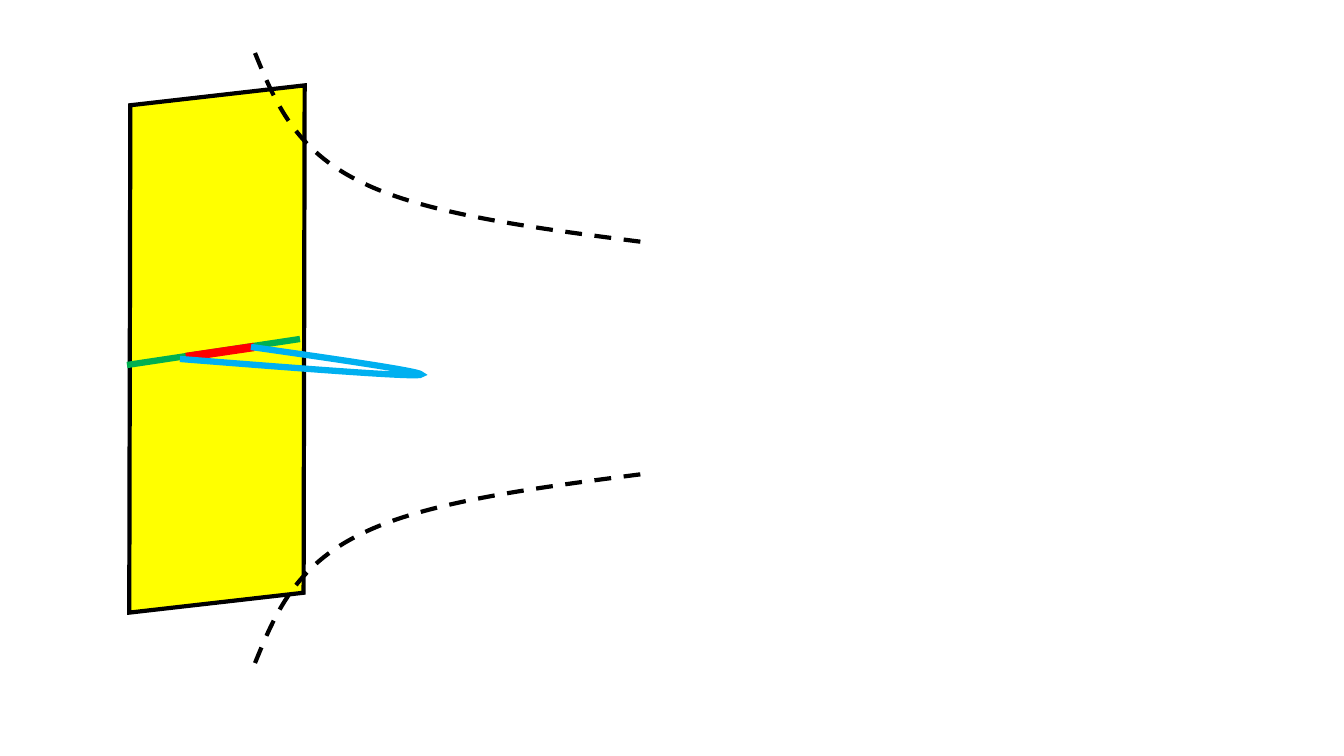
from lxml import etree
from pptx import Presentation
from pptx.dml.color import RGBColor
from pptx.enum.dml import MSO_LINE
from pptx.enum.shapes import MSO_CONNECTOR, MSO_SHAPE
from pptx.oxml.ns import qn
from pptx.util import Pt

PX = 12192000 / 1344
DASH = MSO_LINE.DASH
STRAIGHT = MSO_CONNECTOR.STRAIGHT
PARALLELOGRAM = MSO_SHAPE.PARALLELOGRAM


def px(length):
    return round(length * PX)


def outline(shape, color, points, dash=None):
    """Give a shape a mitred line and no shadow."""
    shape.line.color.rgb = RGBColor.from_string(color)
    shape.line.width = Pt(points)
    if dash is not None:
        shape.line.dash_style = dash
    properties = shape._element.spPr
    miter = etree.SubElement(properties.find(qn("a:ln")), qn("a:miter"))
    miter.set("lim", "800000")
    etree.SubElement(properties, qn("a:effectLst"))


prs = Presentation()
prs.slide_width, prs.slide_height = px(1344), px(756)
shapes = prs.slides.add_slide(prs.slide_layouts[6]).shapes

# Tilted yellow plane
plane = shapes.add_shape(PARALLELOGRAM, px(100), px(97), px(234), px(504))
plane.rotation = -6.5
plane.fill.solid()
plane.fill.fore_color.rgb = RGBColor.from_string("FFFF00")
outline(plane, "000000", 3)

# Straight segments across the plane
for x1, y1, x2, y2, color, points in [
    (127, 365, 300, 339, "00B050", 4.5),
    (186, 357, 254, 347, "FF0000", 6),
]:
    segment = shapes.add_connector(STRAIGHT, px(x1), px(y1), px(x2), px(y2))
    outline(segment, color, points)

# Curves: a start point, then two handles and an end point per Bézier piece
upper_branch = [(255, 53), (275, 102), (295, 150), (361, 182),
                (425, 214), (534, 228), (643, 242)]
lower_branch = [(x, 716 - y) for x, y in upper_branch]
loop = [(180, 359), (294, 368), (409, 377), (420, 375),
        (432, 373), (342, 360), (251, 347)]

for nodes, width, color, points, dash in [
    (upper_branch, 388, "000000", 3, DASH),
    (lower_branch, 388, "000000", 3, DASH),
    (loop, 242, "00B0F0", 4.5, None),
]:
    builder = shapes.build_freeform(*nodes[0], scale=PX)
    builder.add_line_segments(nodes[1:], close=False)
    curve = builder.convert_to_shape()
    route = next(curve._element.iter(qn("a:path")))
    steps = route.findall(qn("a:lnTo"))
    for first in range(0, len(steps), 3):
        bezier = etree.SubElement(route, qn("a:cubicBezTo"))
        for step in steps[first:first + 3]:
            bezier.append(step[0])
            route.remove(step)
    # The frame ends at the curve itself, not at its handles
    curve.width = px(width)
    route.set("w", str(width))
    curve.fill.background()
    outline(curve, color, points, dash)

prs.save("out.pptx")
